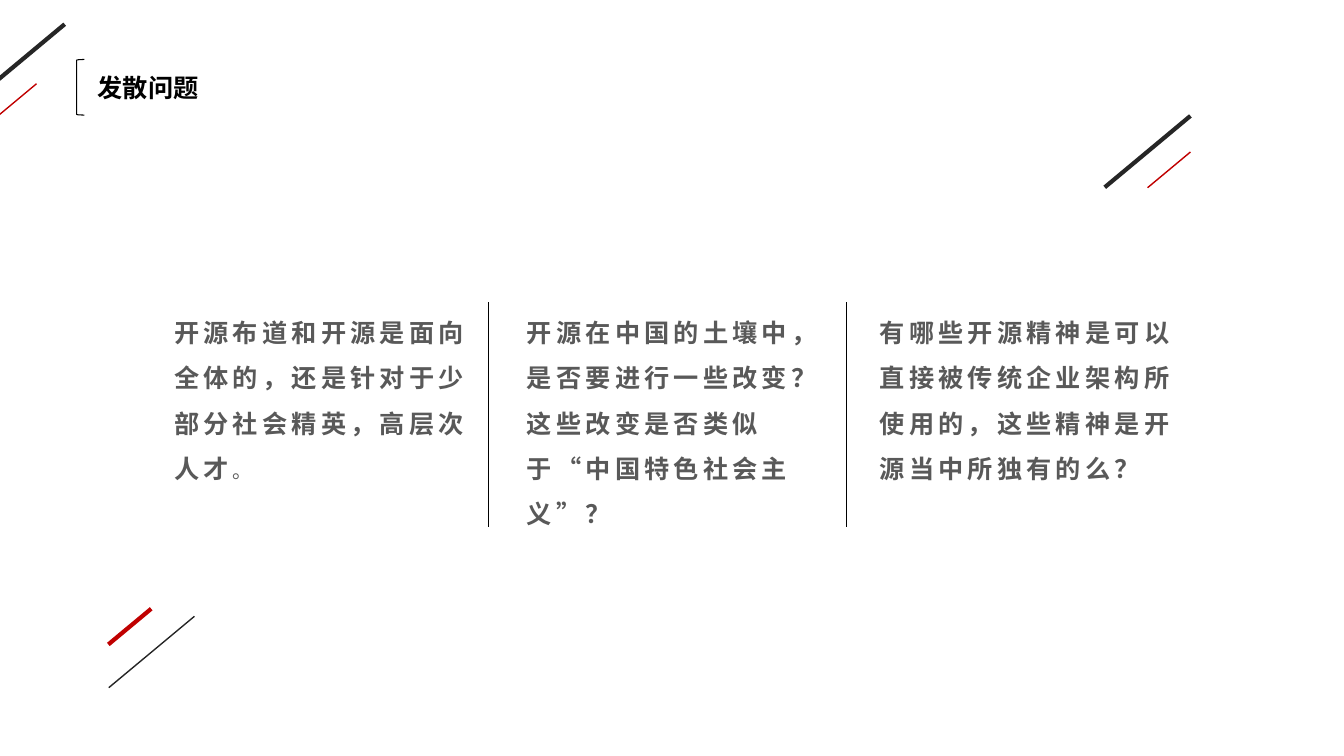
from lxml.etree import SubElement
from pptx import Presentation
from pptx.dml.color import RGBColor
from pptx.enum.shapes import MSO_CONNECTOR, MSO_SHAPE
from pptx.enum.text import MSO_ANCHOR, MSO_AUTO_SIZE, PP_ALIGN
from pptx.oxml.ns import qn
from pptx.util import Cm, Pt

BLACK = RGBColor(0x00, 0x00, 0x00)
DARK = RGBColor(0x26, 0x26, 0x26)
GREY = RGBColor(0x59, 0x59, 0x59)
RED = RGBColor(0xC0, 0x00, 0x00)


class Page:
    latin = "Arial"
    asian = "Noto Sans CJK SC"
    size = Pt(18)

    def __init__(self, slide):
        self.slide = slide

    def style(self, para, face, color, gap=0):
        font = para.font
        font.name, font.size, font.bold = face, self.size, True
        font.color.rgb = color
        para.alignment = PP_ALIGN.LEFT
        props = para._p.pPr.find(qn("a:defRPr"))
        SubElement(props, qn("a:ea")).set("typeface", self.asian)
        if gap:
            props.set("spc", str(gap * 100))

    def title(self, text, left, top, width, height):
        shape = self.slide.shapes.title
        shape.left, shape.top = Cm(left), Cm(top)
        shape.width, shape.height = Cm(width), Cm(height)
        frame = shape.text_frame
        frame.text = text
        frame.word_wrap = False
        frame.auto_size = MSO_AUTO_SIZE.SHAPE_TO_FIT_TEXT
        frame.vertical_anchor = MSO_ANCHOR.TOP
        self.style(frame.paragraphs[0], self.latin, BLACK)

    def text(self, text, left, top, width, height, tail=""):
        box = self.slide.shapes.add_textbox(Cm(left), Cm(top), Cm(width), Cm(height))
        frame = box.text_frame
        frame.word_wrap = True
        frame.auto_size = MSO_AUTO_SIZE.SHAPE_TO_FIT_TEXT
        para = frame.paragraphs[0]
        para.line_spacing = 1.5
        self.style(para, self.asian, GREY, gap=3)
        para.add_run().text = text
        if tail:
            run = para.add_run()
            run.text = tail
            run.font.size, run.font.bold = Pt(14), False

    def bracket(self, left, top, width, height):
        shape = self.slide.shapes.add_shape(
            MSO_SHAPE.LEFT_BRACKET, Cm(left), Cm(top), Cm(width), Cm(height))
        shape.shadow.inherit = False
        shape.fill.background()
        shape.line.color.rgb = BLACK
        shape.line.width = Pt(0.75)

    def line(self, x1, y1, x2, y2, color, weight):
        line = self.slide.shapes.add_connector(
            MSO_CONNECTOR.STRAIGHT, Cm(x1), Cm(y1), Cm(x2), Cm(y2))
        line.line.color.rgb = color
        line.line.width = Pt(weight)
        SubElement(line._element.spPr, qn("a:effectLst"))

    def slash(self, right, top, width, color, weight):
        # Every slash has the same slope
        self.line(right, top, right - width, top + width * 5 / 6, color, weight)


deck = Presentation()
deck.slide_width, deck.slide_height = Cm(33.87), Cm(19.05)
page = Page(deck.slides.add_slide(deck.slide_layouts[5]))

# Heading
page.title("发散问题", 2.21, 1.7, 3.07, 1.02)
page.bracket(1.93, 1.5, 0.2, 1.4)

# Three questions
asks = [
    ("开源布道和开源是面向全体的，还是针对于少部分社会精英，高层次人才", "。"),
    ("开源在中国的土壤中，是否要进行一些改变？这些改变是否类似于“中国特色社会主义”？", ""),
    ("有哪些开源精神是可以直接被传统企业架构所使用的，这些精神是开源当中所独有的么？", ""),
]
for i, (ask, tail) in enumerate(asks):
    page.text(ask, 4.14 + 8.89 * i, 7.49, 8.2, 4.75, tail)

# Dividers
for x in (12.32, 21.34):
    page.line(x, 7.62, x, 13.28, BLACK, 0.75)

# Pairs of slashes: top left, right, bottom left
LONG, SHORT = 2.16, 1.08
for mark in [
    (1.63, 0.61, LONG, DARK, 3),
    (0.92, 2.11, SHORT, RED, 1),
    (30, 2.92, LONG, DARK, 3),
    (30, 3.83, SHORT, RED, 1),
    (3.81, 15.34, SHORT, RED, 3),
    (4.9, 15.53, LONG, DARK, 1),
]:
    page.slash(*mark)

deck.save("out.pptx")
